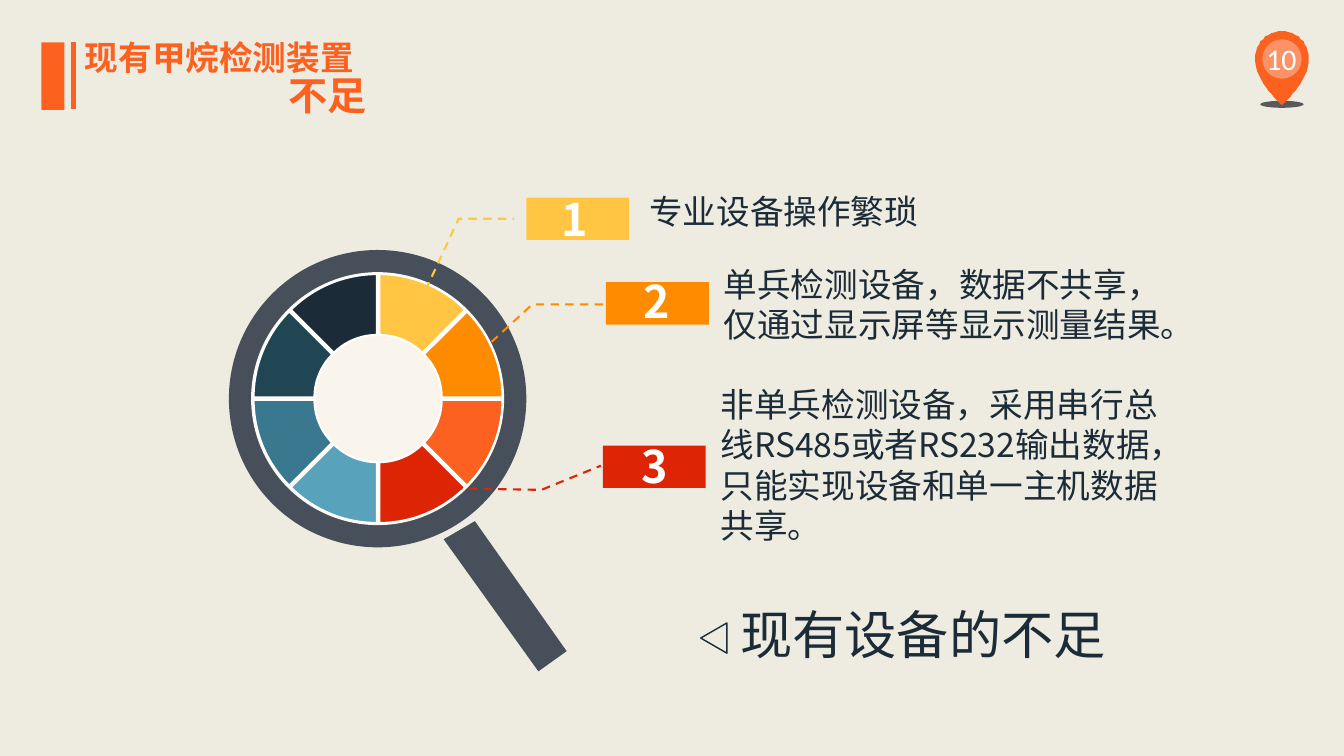
from math import cos, pi, sin

from lxml.etree import SubElement
from pptx import Presentation
from pptx.chart.data import CategoryChartData
from pptx.dml.color import RGBColor
from pptx.enum.chart import XL_CHART_TYPE
from pptx.enum.dml import MSO_LINE
from pptx.enum.shapes import MSO_CONNECTOR, MSO_SHAPE
from pptx.enum.text import MSO_ANCHOR, PP_ALIGN
from pptx.oxml import parse_xml
from pptx.oxml.ns import nsdecls, qn
from pptx.util import Pt

EMU_PER_PX = 9144
CJK = "Noto Sans CJK SC"
LATIN = "Calibri"

WHITE = RGBColor(0xFF, 0xFF, 0xFF)
BLACK = RGBColor(0x00, 0x00, 0x00)
PAPER = RGBColor(0xEE, 0xEC, 0xE1)
CREAM = RGBColor(0xF9, 0xF5, 0xED)
SLATE = RGBColor(0x46, 0x4F, 0x5A)
GREY = RGBColor(0x59, 0x59, 0x59)
ORANGE = RGBColor(0xFC, 0x61, 0x1F)
YELLOW = RGBColor(0xFF, 0xC5, 0x43)
AMBER = RGBColor(0xFF, 0x8B, 0x00)
RED = RGBColor(0xDD, 0x24, 0x05)
SKY = RGBColor(0x58, 0xA2, 0xBC)
STEEL = RGBColor(0x39, 0x78, 0x8F)
TEAL = RGBColor(0x21, 0x46, 0x53)
NAVY = RGBColor(0x1C, 0x2B, 0x38)
WHEEL = [YELLOW, AMBER, ORANGE, RED, SKY, STEEL, TEAL, NAVY]


def px(*lengths):
    """Turn px lengths into EMU."""
    return [length * EMU_PER_PX for length in lengths]


def cubic(start, first, second, end, steps=16):
    """Sample a cubic curve, leaving out its start."""
    points = []
    for step in range(1, steps + 1):
        t = step / steps
        weights = ((1 - t) ** 3, 3 * t * (1 - t) ** 2, 3 * t * t * (1 - t), t**3)
        points.append(tuple(
            sum(w * p[axis] for w, p in zip(weights, (start, first, second, end)))
            for axis in (0, 1)))
    return points


class Painter:
    """Draw styled elements on the current slide."""

    def __init__(self, slide):
        self.slide = slide
        self.shapes = slide.shapes
        slide.background.fill.solid()
        slide.background.fill.fore_color.rgb = PAPER

    def paint(self, shape, fill=None, line=None, weight=1, dash=None):
        """Set fill and outline, without shadow."""
        shape.shadow.inherit = False
        if fill is None:
            shape.fill.background()
        else:
            shape.fill.solid()
            shape.fill.fore_color.rgb = fill
        if line is None:
            shape.line.fill.background()
        else:
            shape.line.color.rgb = line
            shape.line.width = Pt(weight)
            shape.line.dash_style = dash
        return shape

    def shape(self, kind, box, fill=None, line=None, alpha=None, rotation=0):
        """Add a preset shape."""
        shape = self.paint(self.shapes.add_shape(kind, *px(*box)), fill, line)
        shape.rotation = rotation
        if alpha is not None:
            color = shape.fill._xPr.find(".//" + qn("a:srgbClr"))
            SubElement(color, qn("a:alpha")).set("val", str(alpha * 1000))
        return shape

    def outline(self, points, fill=None, line=None):
        """Add a closed filled outline, or an open dashed path."""
        builder = self.shapes.build_freeform(*points[0], scale=EMU_PER_PX)
        builder.add_line_segments(points[1:], close=fill is not None)
        return self.paint(builder.convert_to_shape(), fill, line, 1.5, MSO_LINE.DASH)

    def rule(self, start, end, color, weight):
        """Add a straight line."""
        rule = self.shapes.add_connector(MSO_CONNECTOR.STRAIGHT, *px(*start, *end))
        rule.line.color.rgb = color
        rule.line.width = Pt(weight)
        SubElement(rule._element.spPr, qn("a:effectLst"))

    def text(self, words, box, size, color, bold=False, font=CJK, wrap=True,
             align=PP_ALIGN.LEFT, anchor=MSO_ANCHOR.TOP):
        """Add a text box of one paragraph."""
        frame = self.shapes.add_textbox(*px(*box)).text_frame
        frame.word_wrap = wrap
        frame.vertical_anchor = anchor
        paragraph = frame.paragraphs[0]
        paragraph.text = words
        paragraph.alignment = align
        paragraph.font.size = Pt(size)
        paragraph.font.bold = bold
        paragraph.font.name = font
        paragraph.font.color.rgb = color
        east_asian = SubElement(paragraph.font._element, qn("a:ea"))
        east_asian.set("typeface", font)

    def doughnut(self, box, colors):
        """Add a doughnut of equal slices."""
        data = CategoryChartData()
        data.categories = [str(i + 1) for i in range(len(colors))]
        data.add_series("Series 1", [12] * len(colors))
        chart = self.shapes.add_chart(XL_CHART_TYPE.DOUGHNUT, *px(*box), data).chart
        chart.has_legend = False
        chart.has_title = False
        chart.font.name = LATIN
        chart.font.size = Pt(18)
        chart.font.color.rgb = BLACK
        plot = chart.plots[0]
        plot.vary_by_categories = True
        plot._element.find(qn("c:holeSize")).set("val", "50")
        ring = plot.series[0]
        ring.format.line.color.rgb = WHITE
        explosion = parse_xml(f'<c:explosion {nsdecls("c")} val="5"/>')
        ring._element.spPr.addnext(explosion)
        for index, color in enumerate(colors):
            piece = ring.points[index].format
            piece.fill.solid()
            piece.fill.fore_color.rgb = color
            piece.line.color.rgb = WHITE
            piece.line.width = Pt(1.5)


def page_pin(painter):
    """Draw the page number pin."""
    painter.shape(MSO_SHAPE.OVAL, (1250, 100, 43, 7), GREY)
    dome = [(1271.5 + 26.5 * cos(pi * i / 24), 57.5 - 26.5 * sin(pi * i / 24))
            for i in range(25)]
    tip = (1271.5, 104)
    left = cubic(dome[-1], (1245, 82), (1271, 104), tip)
    right = cubic(tip, (1272, 104), (1298, 82), dome[0])
    painter.outline(dome + left + right, fill=ORANGE)
    painter.shape(MSO_SHAPE.OVAL, (1252, 39, 39, 39), WHITE, alpha=32)
    painter.text("10", (1241, 38, 60, 40), 21.3, WHITE, font=LATIN,
                 align=PP_ALIGN.CENTER, anchor=MSO_ANCHOR.MIDDLE)


def heading(painter):
    """Draw the heading and its bars."""
    painter.shape(MSO_SHAPE.RECTANGLE, (41, 42, 23, 67), ORANGE)
    painter.rule((73, 42), (73, 108), ORANGE, 3)
    painter.text("现有甲烷检测装置", (73, 32, 289, 50), 24, ORANGE, bold=True,
                 wrap=False, align=PP_ALIGN.CENTER)
    painter.text("不足", (276, 66, 99, 57), 28, ORANGE, bold=True, wrap=False)


def magnifier(painter):
    """Draw the magnifier with its colour wheel."""
    painter.shape(MSO_SHAPE.OVAL, (227, 248, 295, 295), SLATE)
    painter.shape(MSO_SHAPE.OVAL, (249, 270, 251, 251), CREAM)
    painter.outline([(440, 535), (534, 666), (562, 646), (471, 517)], fill=SLATE)
    painter.doughnut((230, 258, 290, 275), WHEEL)


def main():
    """Build the slide."""
    deck = Presentation()
    deck.slide_width, deck.slide_height = px(1333, 750)
    painter = Painter(deck.slides.add_slide(deck.slide_layouts[6]))
    page_pin(painter)
    heading(painter)
    magnifier(painter)
    shortcomings = [
        (YELLOW, (522, 196), (547, 185), (634, 184, 458, 82),
         [(416, 301), (455, 217), (510, 217)], "专业设备操作繁琐"),
        (AMBER, (601, 280), (628, 267), (708, 257, 458, 91),
         [(466, 359), (528, 302), (601, 302)],
         "单兵检测设备，数据不共享，仅通过显示屏等显示测量结果。"),
        (RED, (598, 442), (626, 430), (705, 376, 458, 172),
         [(421, 484), (537, 486), (596, 462)],
         "非单兵检测设备，采用串行总线RS485或者RS232输出数据，只能实现设备和单一主机数据共享。"),
    ]
    for number, (color, tag, digit, box, leader, words) in enumerate(shortcomings, 1):
        painter.shape(MSO_SHAPE.RECTANGLE, (*tag, 102, 42), color)
        painter.text(str(number), (*digit, 35, 64), 32, WHITE, bold=True)
        painter.text(words, box, 24, NAVY)
        painter.outline(leader, line=color)
    painter.shape(MSO_SHAPE.ISOSCELES_TRIANGLE, (693, 620, 30, 26), line=NAVY, rotation=270)
    painter.text("现有设备的不足", (717, 593, 397, 73), 37.3, NAVY, wrap=False,
                 align=PP_ALIGN.CENTER)
    deck.save("out.pptx")


if __name__ == "__main__":
    main()
